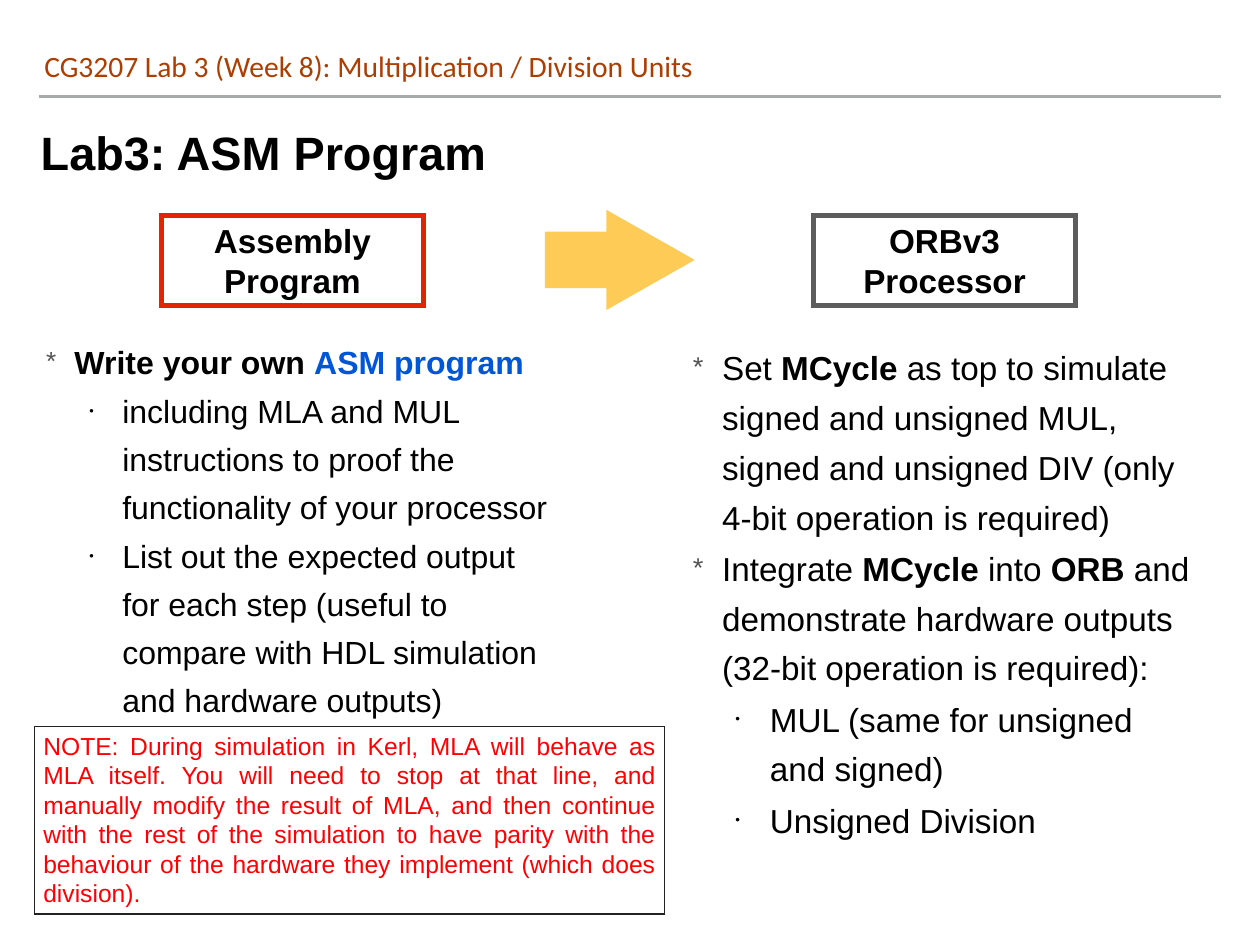
from lxml.etree import SubElement
from pptx import Presentation
from pptx.dml.color import RGBColor
from pptx.enum.shapes import MSO_CONNECTOR, MSO_SHAPE
from pptx.enum.text import MSO_ANCHOR as Anchor, MSO_AUTO_SIZE as Fit, PP_ALIGN as Align
from pptx.oxml.ns import qn
from pptx.util import Inches, Pt


def color(code):
    return RGBColor.from_string(code)


def write(frame, paras, size, inset, align=Align.LEFT, anchor=Anchor.TOP, font="Arial"):
    """Fill a frame; each paragraph is a list of (text, bold, colour) runs."""
    frame.word_wrap = True
    frame.auto_size = Fit.NONE
    frame.vertical_anchor = anchor
    frame.margin_left = frame.margin_right = Inches(inset[0])
    frame.margin_top = frame.margin_bottom = Inches(inset[1])
    frame.text = "\n".join("" for _ in paras)
    for para, runs in zip(frame.paragraphs, paras):
        para.alignment = align
        for text, bold, code in runs:
            run = para.add_run()
            run.text = text
            run.font.name = font
            run.font.size = Pt(size)
            run.font.bold = bold
            run.font.color.rgb = color(code)


BLACK = "000000"
deck = Presentation()
deck.slide_width, deck.slide_height = Inches(14.22), Inches(10.67)
slide = deck.slides.add_slide(deck.slide_layouts[5])
shapes = slide.shapes

# Header and rule
head = shapes.add_textbox(Inches(0.44), Inches(0.5), Inches(12.98), Inches(0.5))
write(head.text_frame,
      [[("CG3207 Lab 3 (Week 8): Multiplication / Division Units", False, "AD3E00")]],
      24, (0.06, 0.06), anchor=Anchor.BOTTOM, font="Calibri")
head.text_frame.paragraphs[0].line_spacing = 0.8

rule = shapes.add_connector(MSO_CONNECTOR.STRAIGHT, Inches(0.44), Inches(1.09),
                            Inches(13.78), Inches(1.09))
rule.line.color.rgb = color("A6AAA9")
rule.line.width = Pt(2)
SubElement(rule._element.spPr, qn("a:effectLst"))

# Title
title = shapes.title
title.left, title.top = Inches(0.43), Inches(1.37)
title.width, title.height = Inches(13.36), Inches(0.7)
write(title.text_frame, [[("Lab3: ASM Program", True, BLACK)]], 38, (0.03, 0.03))

# Program, processor and note boxes
note = ("NOTE: During simulation in Kerl, MLA will behave as MLA itself. "
        "You will need to stop at that line, and manually modify the result of MLA, "
        "and then continue with the rest of the simulation to have parity with the "
        "behaviour of the hardware they implement (which does division).")
small = (0.06, 0.06)
boxes = [
    (1.82, 2.43, 2.96, 1.02, "E22400", 4, ("Assembly Program", True, BLACK),
     27, small, Align.CENTER, Anchor.MIDDLE),
    (9.18, 2.43, 2.96, 1.02, "5C5C5C", 4, ("ORBv3 Processor", True, BLACK),
     27, small, Align.CENTER, Anchor.MIDDLE),
    (0.39, 8.2, 7.11, 2.12, "222222", 1, (note, False, "FF0000"),
     20, (0.1, 0.05), Align.JUSTIFY, Anchor.TOP),
]
for left, top, width, height, edge, weight, run, size, inset, align, anchor in boxes:
    box = shapes.add_shape(MSO_SHAPE.RECTANGLE, Inches(left), Inches(top),
                           Inches(width), Inches(height))
    box.shadow.inherit = False
    box.fill.background()
    box.line.color.rgb = color(edge)
    box.line.width = Pt(weight)
    SubElement(box._element.spPr.find(qn("a:ln")), qn("a:miter"), lim="800000")
    write(box.text_frame, [[run]], size, inset, align, anchor)

arrow = shapes.add_shape(MSO_SHAPE.RIGHT_ARROW, Inches(6.15), Inches(2.37),
                         Inches(1.69), Inches(1.13))
arrow.shadow.inherit = False
arrow.adjustments[0], arrow.adjustments[1] = 0.565, 0.881
arrow.fill.solid()
arrow.fill.fore_color.rgb = color("FDCB56")
arrow.line.fill.background()

# Bullet lists: place, text size, (indent, hang) by level, (level, runs) by item
lists = [
    ((0.49, 3.73, 5.75, 4.25), 26, [(0.32, 0.32), (0.86, 0.37)], [
        (0, [("Write your own ", True, BLACK), ("ASM program", True, "0056D6")]),
        (1, [("including MLA and MUL instructions to proof the functionality "
              "of your processor", False, BLACK)]),
        (1, [("List out the expected output for each step (useful to compare "
              "with HDL simulation and hardware outputs)", False, BLACK)]),
    ]),
    ((7.79, 3.78, 5.73, 5.33), 27, [(0.33, 0.33), (0.87, 0.39)], [
        (0, [("Set ", False, BLACK), ("MCycle", True, BLACK),
             (" as top to simulate signed and unsigned MUL, signed and unsigned "
              "DIV (only 4-bit operation is required)", False, BLACK)]),
        (0, [("Integrate ", False, BLACK), ("MCycle", True, BLACK),
             (" into ", False, BLACK), ("ORB", True, BLACK),
             (" and demonstrate hardware outputs (32-bit operation is required):",
              False, BLACK)]),
        (1, [("MUL (same for unsigned and signed)", False, BLACK)]),
        (1, [("Unsigned Division", False, BLACK)]),
    ]),
]
marks = [("*", "535353", 82), ("•", BLACK, 40)]
for place, size, indents, items in lists:
    frame = shapes.add_textbox(*map(Inches, place)).text_frame
    write(frame, [runs for _, runs in items], size, (0.03, 0.03))
    for para, (level, _) in zip(frame.paragraphs, items):
        para.level = level
        para.line_spacing = 1.25
        para.space_before = Pt(1)
        indent, hang = indents[level]
        mark, code, scale = marks[level]
        props = para._p.get_or_add_pPr()
        props.set("marL", str(Inches(indent)))
        props.set("indent", str(-Inches(hang)))
        SubElement(SubElement(props, qn("a:buClr")), qn("a:srgbClr"), val=code)
        SubElement(props, qn("a:buSzPct"), val=str(scale * 1000))
        SubElement(props, qn("a:buFont"), typeface="Arial")
        SubElement(props, qn("a:buChar"), char=mark)

deck.save("out.pptx")
